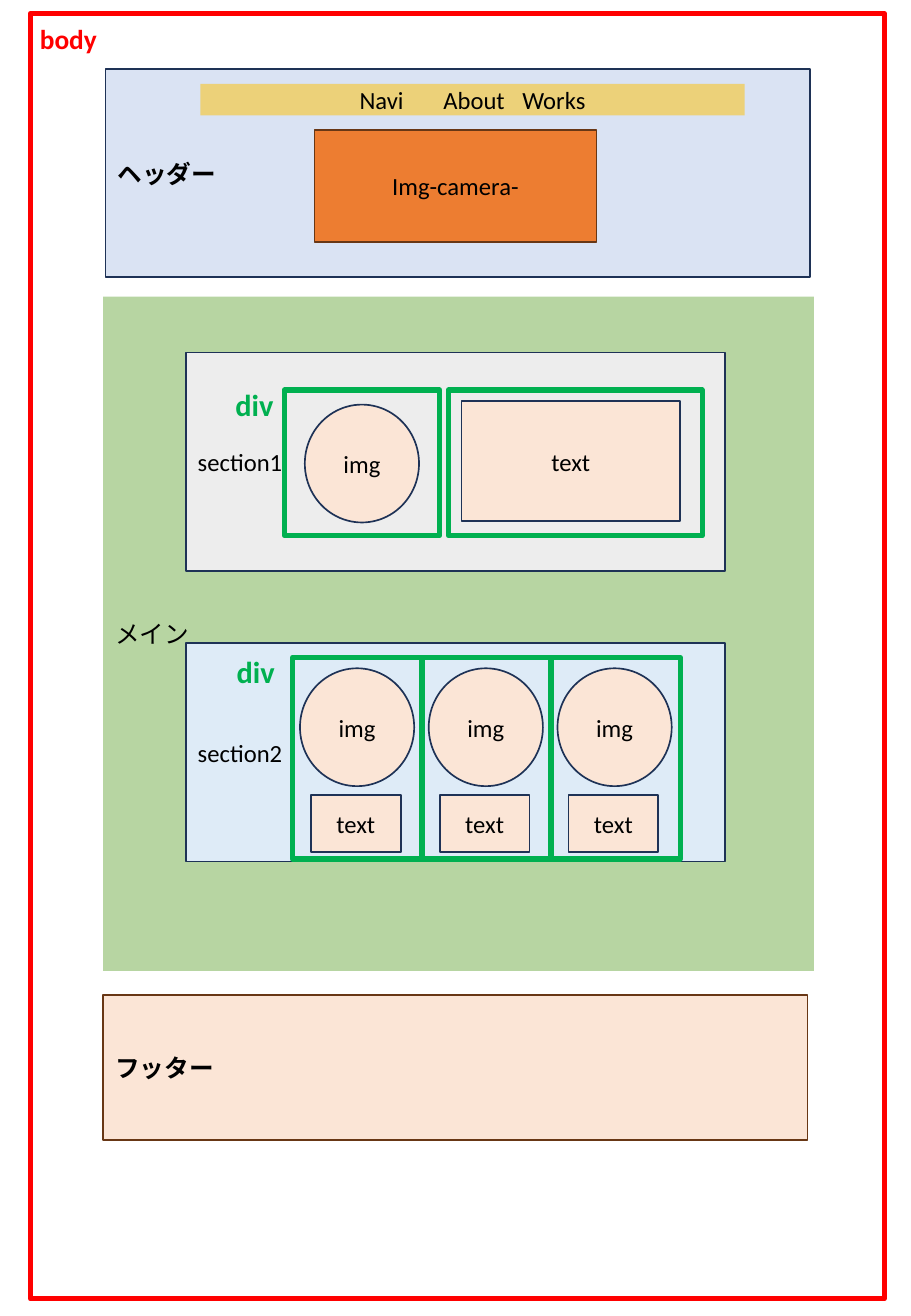
"""Wireframe of a one-page site: body, header, main with two sections, footer."""
from lxml.etree import SubElement
from pptx import Presentation
from pptx.dml.color import RGBColor
from pptx.enum.shapes import MSO_SHAPE
from pptx.enum.text import MSO_ANCHOR, PP_ALIGN
from pptx.oxml.ns import qn
from pptx.util import Inches, Pt

NAVY, BROWN, RED, GREEN = "1E3256", "683715", "FF0000", "00B050"
PEACH, BLACK = "FBE5D6", "000000"
RECT, OVAL = MSO_SHAPE.RECTANGLE, MSO_SHAPE.OVAL
LEFT, CENTER = PP_ALIGN.LEFT, PP_ALIGN.CENTER

wireframe = Presentation()
wireframe.slide_width, wireframe.slide_height = Inches(7.5), Inches(10.83)
page = wireframe.slides.add_slide(wireframe.slide_layouts[6])


def write(frame, words, align=LEFT, size=14.6, bold=False, color=BLACK):
    frame.word_wrap = True
    paragraph = frame.paragraphs[0]
    paragraph.alignment = align
    run = paragraph.add_run()
    run.text = words
    run.font.name, run.font.size, run.font.bold = "Calibri", Pt(size), bold
    run.font.color.rgb = RGBColor.from_string(color)


def block(kind, at, fill=None, line=None, width=1, words="", align=CENTER, bold=False, alpha=None):
    shape = page.shapes.add_shape(kind, *[Inches(v) for v in at])
    shape.shadow.inherit = False
    if fill:
        shape.fill.solid()
        shape.fill.fore_color.rgb = RGBColor.from_string(fill)
    else:
        shape.fill.background()
    if alpha:
        tint = shape.fill._xPr.find(qn("a:solidFill"))[0]
        SubElement(tint, qn("a:alpha"), val=str(alpha * 1000))
    if line:
        shape.line.color.rgb = RGBColor.from_string(line)
        shape.line.width = Pt(width)
    else:
        shape.line.fill.background()
    if words:
        shape.text_frame.vertical_anchor = MSO_ANCHOR.MIDDLE
        write(shape.text_frame, words, align, bold=bold)
    return shape


block(RECT, (0.25, 0.11, 7.03, 10.58), "FFFFFF", RED, 3)
block(RECT, (0.87, 0.57, 5.8, 1.71), "DAE3F3", NAVY, words="ヘッダー", align=LEFT, bold=True)
block(RECT, (0.85, 8.19, 5.8, 1.19), PEACH, BROWN, words="フッター", align=LEFT, bold=True)
block(RECT, (0.85, 2.44, 5.85, 5.55), "70AD47", words="メイン", align=LEFT, alpha=50)

block(RECT, (2.59, 1.07, 2.32, 0.92), "ED7D31", BROWN, words="Img-camera-")
navigation = block(RECT, (1.65, 0.69, 4.48, 0.26), "FFC000", words="Navi\tAbout\tWorks",
                   align=LEFT, alpha=50)
navigation.text_frame.margin_left = Inches(1.31)
tab_stops = SubElement(navigation.text_frame.paragraphs[0]._p.get_or_add_pPr(), qn("a:tabLst"))
for stop in (0.69, 1.34):
    SubElement(tab_stops, qn("a:tab"), pos=str(Inches(stop)), algn="l")

for top, fill, section in ((2.9, "EDEDED", "section1"), (5.29, "DEEBF7", "section2")):
    block(RECT, (1.53, top, 4.44, 1.8), fill, NAVY, words=section, align=LEFT)

block(OVAL, (2.51, 3.33, 0.94, 0.97), PEACH, NAVY, words="img")
block(RECT, (3.8, 3.3, 1.8, 0.99), PEACH, NAVY, words="text")
for left, width in ((2.34, 1.28), (3.69, 2.09)):
    block(RECT, (left, 3.21, width, 1.2), line=GREEN, width=3)

for column in range(3):
    shift = column * 1.06
    block(OVAL, (2.47 + shift, 5.5, 0.94, 0.97), PEACH, NAVY, words="img")
    block(RECT, (2.56 + shift, 6.54, 0.74, 0.47), PEACH, NAVY, words="text")
    block(RECT, (2.41 + shift, 5.41, 1.07, 1.66), line=GREEN, width=3)

for tag, at, size, color in (
    ("body", (0.23, 0.13, 1.39, 0.37), 16.2, RED),
    ("div", (1.84, 3.13, 0.83, 0.4), 18, GREEN),
    ("div", (1.85, 5.33, 0.83, 0.4), 18, GREEN),
):
    label = page.shapes.add_textbox(*[Inches(v) for v in at])
    write(label.text_frame, tag, size=size, bold=True, color=color)

wireframe.save("out.pptx")
